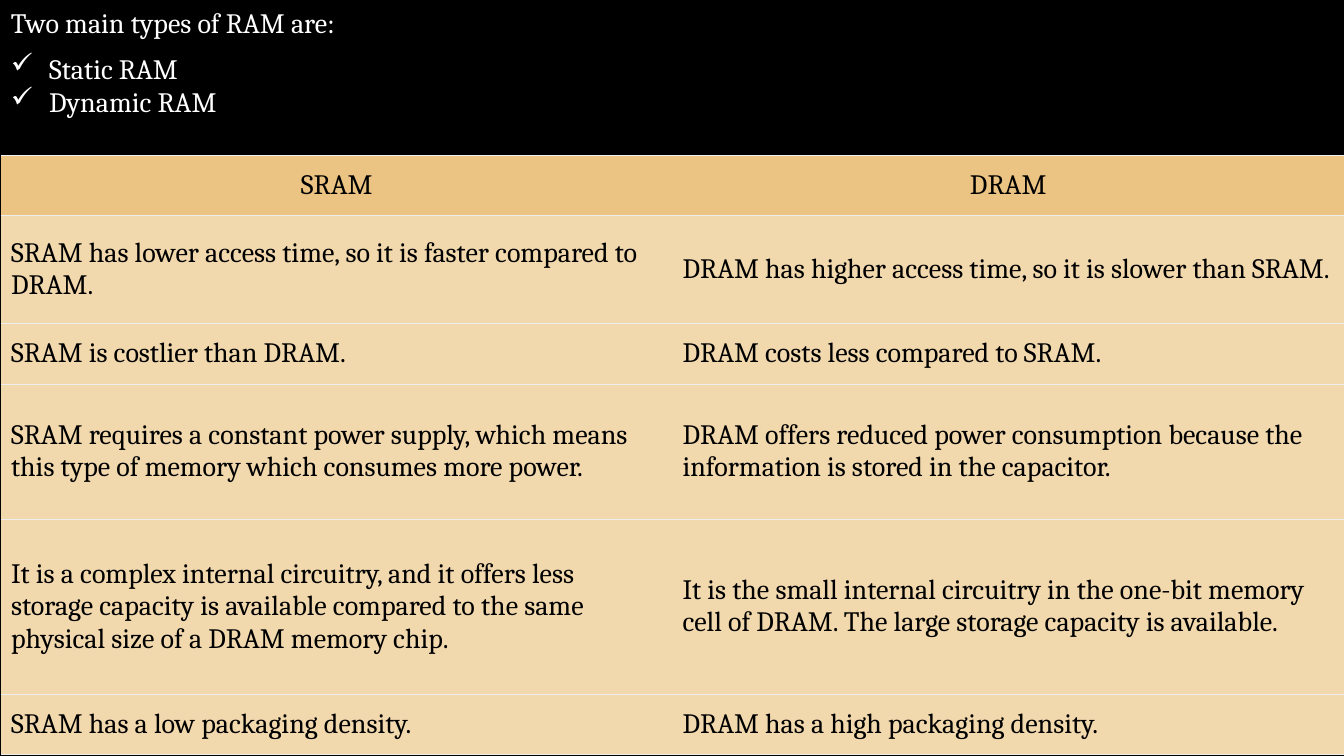
from dataclasses import dataclass

from lxml.etree import SubElement
from pptx import Presentation
from pptx.dml.color import RGBColor
from pptx.enum.text import MSO_ANCHOR, MSO_AUTO_SIZE, PP_ALIGN
from pptx.oxml.ns import qn
from pptx.util import Inches, Pt


@dataclass(frozen=True)
class Theme:
    font: str = "Cambria"
    size: int = 20
    background: str = "000000"
    light_text: str = "FFFFFF"
    dark_text: str = "000000"
    header_fill: str = "EBC483"
    body_fill: str = "F1D8AD"
    rule: str = "EEEEEE"
    rule_width: float = 0.75


THEME = Theme()
RAM_TYPES = ["Static RAM", "Dynamic RAM"]
ROW_HEIGHTS = [0.6, 1.07, 0.6, 1.34, 1.74, 0.6]
COMPARISON = [
    ("SRAM", "DRAM"),
    ("SRAM has lower access time, so it is faster compared to DRAM.",
     "DRAM has higher access time, so it is slower than SRAM."),
    ("SRAM is costlier than DRAM.", "DRAM costs less compared to SRAM."),
    ("SRAM requires a constant power supply, which means this type of memory "
     "which consumes more power.",
     "DRAM offers reduced power consumption because the information is stored "
     "in the capacitor."),
    ("It is a complex internal circuitry, and it offers less storage capacity "
     "is available compared to the same physical size of a DRAM memory chip.",
     "It is the small internal circuitry in the one-bit memory cell of DRAM. "
     "The large storage capacity is available."),
    ("SRAM has a low packaging density.", "DRAM has a high packaging density."),
]


def write_text(para, text, color=THEME.dark_text, align=PP_ALIGN.LEFT, bullet=None):
    para.alignment = align
    span = para.add_run()
    span.text = text
    span.font.name = THEME.font
    span.font.size = Pt(THEME.size)
    span.font.color.rgb = RGBColor.from_string(color)
    if bullet:
        properties = para._p.get_or_add_pPr()
        properties.set("marL", str(Inches(0.38)))
        properties.set("indent", str(Inches(-0.38)))
        SubElement(properties, qn("a:buChar"), char=bullet)


def add_text_box(slide, lines, left, top, width, height, wrap=True, bullet=None):
    box = slide.shapes.add_textbox(Inches(left), Inches(top), Inches(width), Inches(height))
    frame = box.text_frame
    frame.word_wrap = wrap
    frame.auto_size = MSO_AUTO_SIZE.SHAPE_TO_FIT_TEXT
    for index, line in enumerate(lines):
        para = frame.add_paragraph() if index else frame.paragraphs[0]
        write_text(para, line, color=THEME.light_text, bullet=bullet)


def rule_cell(cell):
    """Draw thin rules above and below a cell and none at its sides."""
    properties = cell._tc.get_or_add_tcPr()
    for side in ("lnL", "lnR"):
        SubElement(SubElement(properties, qn(f"a:{side}")), qn("a:noFill"))
    for side in ("lnT", "lnB"):
        line = SubElement(properties, qn(f"a:{side}"), w=str(Pt(THEME.rule_width)))
        SubElement(SubElement(line, qn("a:solidFill")), qn("a:srgbClr"), val=THEME.rule)


def fill_cell(cell, text, is_header):
    rule_cell(cell)
    cell.fill.solid()
    cell.fill.fore_color.rgb = RGBColor.from_string(
        THEME.header_fill if is_header else THEME.body_fill)
    cell.vertical_anchor = MSO_ANCHOR.MIDDLE
    write_text(cell.text_frame.paragraphs[0], text,
               align=PP_ALIGN.CENTER if is_header else PP_ALIGN.LEFT)


def add_comparison_table(slide, left, top, width):
    table = slide.shapes.add_table(
        len(COMPARISON), len(COMPARISON[0]), Inches(left), Inches(top),
        Inches(width), Inches(sum(ROW_HEIGHTS))).table
    table.horz_banding = False
    for row_index, (texts, height) in enumerate(zip(COMPARISON, ROW_HEIGHTS)):
        table.rows[row_index].height = Inches(height)
        for column_index, text in enumerate(texts):
            fill_cell(table.cell(row_index, column_index), text, row_index == 0)


def main():
    deck = Presentation()
    deck.slide_width, deck.slide_height = Inches(13.33), Inches(7.5)
    page = deck.slides.add_slide(deck.slide_layouts[6])
    page.background.fill.solid()
    page.background.fill.fore_color.rgb = RGBColor.from_string(THEME.background)
    add_text_box(page, ["Two main types of RAM are:"], 0.01, 0.01, 3.55, 0.44, wrap=False)
    add_text_box(page, RAM_TYPES, 0.01, 0.46, 6.67, 0.77, bullet="✓")
    add_comparison_table(page, 0.01, 1.54, 13.32)
    deck.save("out.pptx")


if __name__ == "__main__":
    main()
